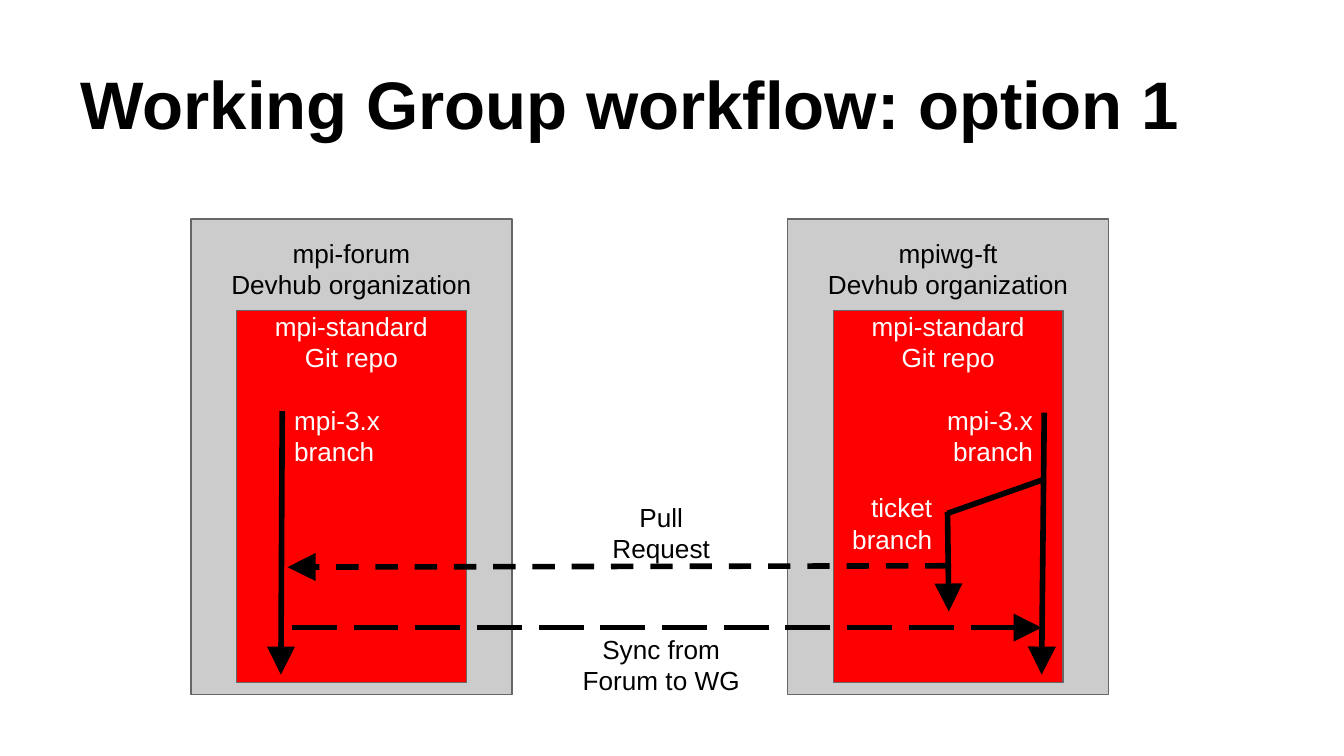
from lxml import etree
from pptx import Presentation, util as u
from pptx.dml.color import RGBColor
from pptx.enum import dml, shapes, text
from pptx.oxml.ns import qn

PX = 4572  # 200 px to the inch
COLORS = {"black": "000000", "white": "FFFFFF", "gray": "CCCCCC",
          "red": "FF0000", "border": "666666"}
LEFT, CENTER, RIGHT = text.PP_ALIGN.LEFT, text.PP_ALIGN.CENTER, text.PP_ALIGN.RIGHT

deck = Presentation()
deck.slide_width, deck.slide_height = 2000 * PX, 1125 * PX
page = deck.slides.add_slide(deck.slide_layouts[6])


def write(box, lines, color, align, size=14, bold=False, top=20):
    """Fill a shape with one paragraph per line, below a top inset in px."""
    frame = box.text_frame
    frame.word_wrap = True
    frame.margin_left = frame.margin_right = frame.margin_bottom = 20 * PX
    frame.margin_top = top * PX
    frame.vertical_anchor = text.MSO_ANCHOR.TOP
    for index, line in enumerate(lines):
        para = frame.add_paragraph() if index else frame.paragraphs[0]
        para.alignment = align
        span = para.add_run()
        span.text = line
        span.font.name = "Arial"
        span.font.size = u.Pt(size)
        span.font.bold = bold
        span.font.color.rgb = RGBColor.from_string(COLORS[color])


def add_arrow(start, end, dash=None, arrowhead=None):
    """Draw a thick line; arrowhead is headEnd (start), tailEnd (end) or None."""
    line = page.shapes.add_connector(
        shapes.MSO_CONNECTOR.STRAIGHT, *(value * PX for value in start + end))
    line.line.width = u.Pt(3)
    line.line.color.rgb = RGBColor.from_string(COLORS["black"])
    if dash:
        line.line.dash_style = dash
    if arrowhead:
        etree.SubElement(line.line._get_or_add_ln(), qn("a:" + arrowhead),
                         type="triangle", w="lg", len="lg")
    etree.SubElement(line._element.spPr, qn("a:effectLst"))


# Title
title = page.shapes.add_textbox(100 * PX, 45 * PX, 1800 * PX, 188 * PX)
write(title, ["Working Group workflow: option 1"], "black", LEFT, 36, True)
title.text_frame.vertical_anchor = text.MSO_ANCHOR.BOTTOM

# Organizations, each holding a repository
for left, organization in ((284, "mpi-forum"), (1172, "mpiwg-ft")):
    for x, y, width, height, fill, lines, color, top in (
        (left, 326, 478, 708, "gray", [organization, "Devhub organization"], "black", 27),
        (left + 68, 462, 342, 554, "red", ["mpi-standard", "Git repo"], "white", 0),
    ):
        panel = page.shapes.add_shape(
            shapes.MSO_SHAPE.RECTANGLE, x * PX, y * PX, width * PX, height * PX)
        panel.shadow.inherit = False
        panel.fill.solid()
        panel.fill.fore_color.rgb = RGBColor.from_string(COLORS[fill])
        panel.line.color.rgb = RGBColor.from_string(COLORS["border"])
        panel.line.width = u.Pt(0.75)
        write(panel, lines, color, CENTER, top=top)

# Branches, pull request and sync
add_arrow((1410, 842), (428, 844), dml.MSO_LINE.DASH, "tailEnd")
add_arrow((420, 612), (418, 1004), arrowhead="tailEnd")
add_arrow((1554, 614), (1550, 1004), arrowhead="tailEnd")
add_arrow((1552, 714), (1410, 764))
add_arrow((1410, 762), (1412, 910), arrowhead="tailEnd")
add_arrow((1550, 934), (418, 934), dml.MSO_LINE.LONG_DASH, "headEnd")

# Labels
for x, y, width, height, lines, color, align in (
    (862, 726, 244, 112, ["Pull Request"], "black", CENTER),
    (418, 582, 318, 80, ["mpi-3.x", "branch"], "white", LEFT),
    (1239, 582, 318, 80, ["mpi-3.x", "branch"], "white", RIGHT),
    (1089, 712, 318, 80, ["ticket", "branch"], "white", RIGHT),
    (836, 922, 296, 112, ["Sync from Forum to WG"], "black", CENTER),
):
    label = page.shapes.add_textbox(x * PX, y * PX, width * PX, height * PX)
    write(label, lines, color, align)

deck.save("out.pptx")
